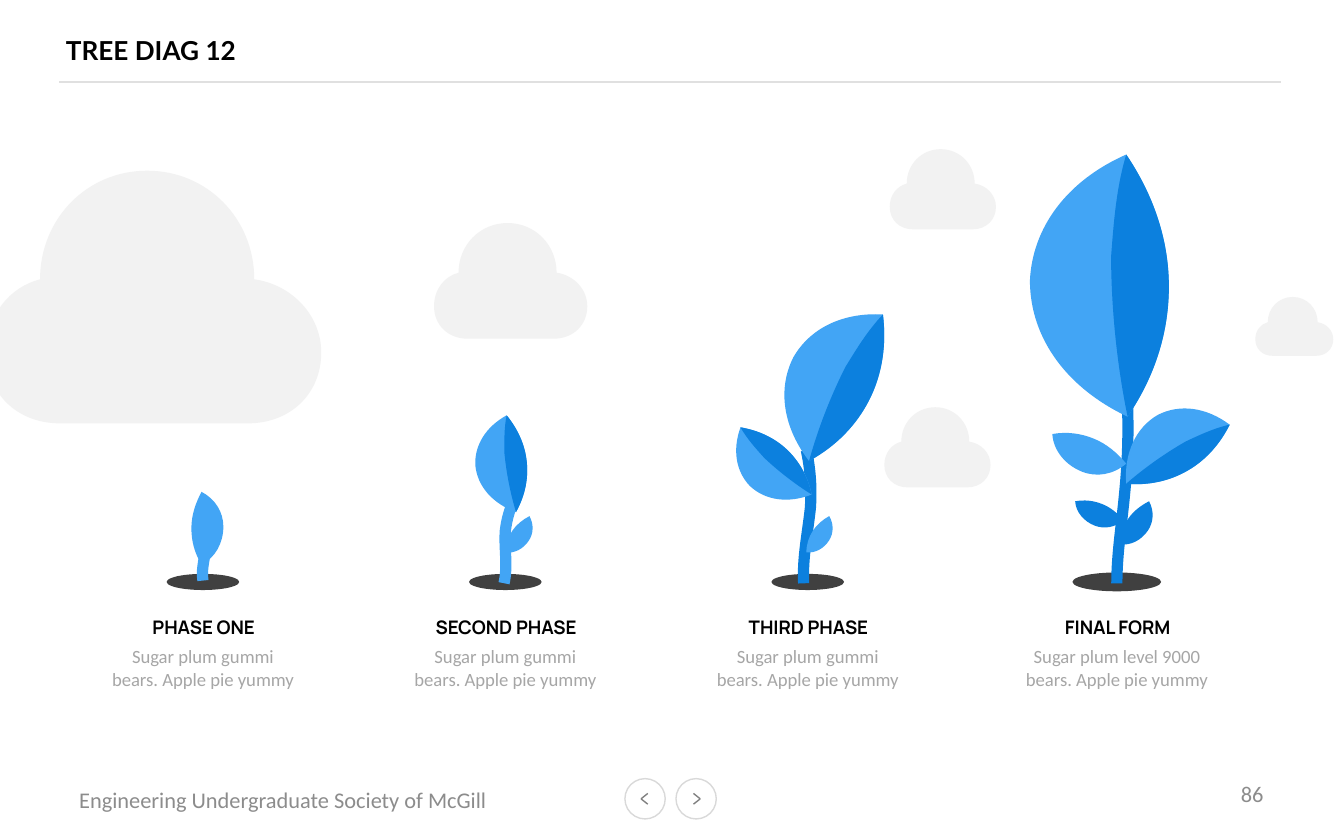
from lxml import etree
from pptx import Presentation
from pptx.dml.color import RGBColor
from pptx.enum.shapes import MSO_CONNECTOR, MSO_SHAPE
from pptx.enum.text import MSO_ANCHOR, PP_ALIGN
from pptx.oxml.ns import qn
from pptx.util import Inches, Pt

OVAL = MSO_SHAPE.OVAL
STRAIGHT = MSO_CONNECTOR.STRAIGHT
MIDDLE = MSO_ANCHOR.MIDDLE
LEFT, CENTER, RIGHT = PP_ALIGN.LEFT, PP_ALIGN.CENTER, PP_ALIGN.RIGHT

BLACK = RGBColor(0x00, 0x00, 0x00)
WHITE = RGBColor(0xFF, 0xFF, 0xFF)
SOIL = RGBColor(0x40, 0x40, 0x40)
CLOUD = RGBColor(0xF2, 0xF2, 0xF2)
LIGHT = RGBColor(0x42, 0xA5, 0xF5)
DARK = RGBColor(0x0C, 0x80, 0xDE)
RULE = RGBColor(0xE0, 0xE0, 0xE0)
RING = RGBColor(0xD9, 0xD9, 0xD9)
ARROW = RGBColor(0x80, 0x80, 0x80)
FOOTER = RGBColor(0x8C, 0x8C, 0x8C)
BODY = RGBColor(0xA6, 0xA6, 0xA6)

W, H = 10, 6.25
GROUND = 4.33
FIRST_COLUMN, COLUMN = 1.51, 2.25

CLOUD_EDGE = [(.16, .43), (.16, .19), (.3, 0), (.48, 0), (.66, 0), (.8, .19), (.8, .43),
              (.91, .45), (1, .57), (1, .72), (1, .88), (.91, 1), (.78, 1),
              (.78, 1), (.22, 1), (.22, 1), (.09, 1), (0, .88), (0, .72),
              (0, .57), (.07, .46), (.16, .43)]
CLOUDS = [(-.1, 1.27, 2.49), (3.23, 1.66, 1.14), (6.62, 1.11, .79),
          (6.58, 3.03, .79), (9.34, 2.21, .58)]

LEAF_LEFT = [(0, 0), (.11, -.23), (.3, -.37), (.52, -.37), (.72, -.36), (.9, -.23), (1, 0)]
LEAF_RIGHT = [(.85, .1), (.68, .16), (.5, .16), (.33, .16), (.16, .11), (0, 0)]
LEAF_RIB = [(0, 0), (.2, -.04), (.41, -.06), (.61, -.06), (.73, -.05), (.87, -.04), (1, 0)]
BUD = [(0, 0), (.16, -.1), (.33, -.14), (.5, -.14), (.68, -.14), (.85, -.08), (1, 0),
       (.9, .19), (.72, .3), (.52, .3), (.3, .3), (.09, .19), (0, 0)]

TWO_TONE = [(LEAF_LEFT + LEAF_RIGHT, LIGHT), (LEAF_RIB + LEAF_RIGHT, DARK)]
LIGHT_BUD = [(BUD, LIGHT)]
DARK_BUD = [(BUD, DARK)]

TEXT = "Sugar plum gummi bears. Apple pie yummy"
PHASES = [
    ("PHASE ONE", TEXT, 0, (.54, .12), LIGHT,
     [(.01, .18), (0, .12), (-.01, .06), (0, .01)],
     [((-.01, .13), (-.01, .67), LIGHT_BUD)]),
    ("SECOND PHASE", TEXT, 0, (.54, .12), LIGHT,
     [(.07, .62), (.03, .54), (.01, .46), (0, .38), (-.01, .25), (.02, .12), (-.01, -.01)],
     [((.08, .52), (.01, 1.24), TWO_TONE), ((0, .22), (.18, .49), LIGHT_BUD)]),
    ("THIRD PHASE", TEXT, 0, (.54, .12), DARK,
     [(-.01, .98), (.02, .84), (.03, .7), (.02, .55), (0, .36), (-.04, .18), (-.03, -.01)],
     [((.03, .65), (-.5, 1.15), TWO_TONE), ((-.01, .22), (.16, .49), LIGHT_BUD),
      ((.01, .9), (.56, 1.99), TWO_TONE)]),
    ("FINAL FORM", "Sugar plum level 9000 bears. Apple pie yummy", .05, (.66, .14), DARK,
     [(.06, 1.61), (.09, 1.3), (.09, .99), (.06, .68), (.04, .45), (0, .22), (0, -.01)],
     [((.02, .28), (.24, .6), DARK_BUD), ((.08, 1.23), (.07, 3.18), TWO_TONE),
      ((.07, .73), (.84, 1.17), TWO_TONE), ((-.31, .6), (.05, .46), DARK_BUD),
      ((-.48, 1.1), (.07, .88), LIGHT_BUD)]),
]


def bend(sp):
    """Turn each three line segments of a freeform into one cubic curve."""
    path = sp._element.find(".//" + qn("a:path"))
    lines = path.findall(qn("a:lnTo"))
    for i in range(0, len(lines), 3):
        cubic = etree.Element(qn("a:cubicBezTo"))
        path.insert(path.index(lines[i]), cubic)
        for line in lines[i:i + 3]:
            cubic.append(line[0])
            path.remove(line)


def add_outline(s, points, color, stroke=None):
    """Draw a smooth closed area, or an open stroke when a width is given."""
    dots = [(Inches(x), Inches(y)) for x, y in points]
    builder = s.shapes.build_freeform(*dots[0])
    builder.add_line_segments(dots[1:], close=stroke is None)
    sp = builder.convert_to_shape()
    bend(sp)
    sp.shadow.inherit = False
    if stroke:
        sp.fill.background()
        sp.line.color.rgb = color
        sp.line.width = Pt(stroke)
    else:
        sp.fill.solid()
        sp.fill.fore_color.rgb = color
        sp.line.fill.background()


def add_oval(s, x, y, w, h, color, border=None):
    """Draw an ellipse centred on a point."""
    sp = s.shapes.add_shape(OVAL, Inches(x - w / 2), Inches(y - h / 2), Inches(w), Inches(h))
    sp.shadow.inherit = False
    sp.fill.solid()
    sp.fill.fore_color.rgb = color
    if border:
        sp.line.color.rgb = border
        sp.line.width = Pt(.75)
    else:
        sp.line.fill.background()


def add_line(s, x1, y1, x2, y2, color):
    """Draw a thin straight line without a shadow."""
    line = s.shapes.add_connector(STRAIGHT, Inches(x1), Inches(y1), Inches(x2), Inches(y2))
    line.line.color.rgb = color
    line.line.width = Pt(.75)
    etree.SubElement(line._element.spPr, qn("a:effectLst"))


def set_text(sp, box, text, font, size, color, align, bold=False):
    """Place a text shape in its box and format its only paragraph."""
    sp.left, sp.top, sp.width, sp.height = (Inches(v) for v in box)
    tf = sp.text_frame
    tf.word_wrap = True
    tf.text = text
    p = tf.paragraphs[0]
    p.alignment = align
    p.font.name, p.font.size, p.font.bold = font, Pt(size), bold
    p.font.color.rgb = color
    return tf


def add_text(s, box, *style):
    """Add a text box with one formatted paragraph."""
    sp = s.shapes.add_textbox(0, 0, 0, 0)
    return set_text(sp, box, *style)


def add_header(s):
    """Place the title and the rule below it."""
    add_line(s, W * .044, .61, W * .953, .61, RULE)
    tf = set_text(s.shapes.title, (.49, .16, 6.67, .43), "TREE DIAG 12",
                  "Lato", 14, BLACK, LEFT, True)
    tf.margin_left = tf.margin_right = tf.margin_top = tf.margin_bottom = 0
    tf.vertical_anchor = MIDDLE


def add_footer(s):
    """Place the society name, the two page buttons and the page number."""
    for box, text, align in [
            ((.49, 5.8, 3.39, .3), "Engineering Undergraduate Society of McGill", LEFT),
            ((7.17, 5.74, 2.33, .33), "86", RIGHT)]:
        add_text(s, box, text, "Calibri", 12, FOOTER, align).vertical_anchor = MIDDLE
    y = H * .951
    for x, side in ((4.8, -1), (5.18, 1)):
        add_oval(s, x, y, .3, .3, WHITE, RING)
        for rise in (-.04, .04):
            add_line(s, x + side * .03, y, x - side * .02, y + rise, ARROW)


def add_cloud(s, left, top, width):
    """Draw a cloud from its top left corner and width."""
    height = width * .755
    add_outline(s, [(left + u * width, top + v * height) for u, v in CLOUD_EDGE], CLOUD)


def add_leaf(s, base, tip, parts):
    """Draw the parts of a leaf along the axis from base to tip."""
    (x, y), (dx, dy) = base, (tip[0] - base[0], tip[1] - base[1])
    for points, color in parts:
        add_outline(s, [(x + u * dx - v * dy, y + u * dy + v * dx) for u, v in points], color)


def add_phase(s, x, heading, body, soil, stem_color, stem, leaves):
    """Draw one plant on its root point, with its caption below."""
    def place(point):
        return x + point[0], GROUND - point[1]

    add_oval(s, x, GROUND, *soil, SOIL)
    add_outline(s, [place(point) for point in stem], stem_color, 6)
    for base, tip, parts in leaves:
        add_leaf(s, place(base), place(tip), parts)
    add_text(s, (x - .65, GROUND + .2, 1.31, .28), heading, "Manrope", 10, BLACK, CENTER, True)
    add_text(s, (x - .8, GROUND + .42, 1.6, .44), body, "Calibri", 10, BODY, CENTER)


def main():
    """Build and save the slide."""
    prs = Presentation()
    prs.slide_width, prs.slide_height = Inches(W), Inches(H)
    s = prs.slides.add_slide(prs.slide_layouts[5])
    add_header(s)
    add_footer(s)
    for cloud in CLOUDS:
        add_cloud(s, *cloud)
    for i, (heading, body, shift, *plant) in enumerate(PHASES):
        add_phase(s, FIRST_COLUMN + i * COLUMN + shift, heading, body, *plant)
    prs.save("out.pptx")


if __name__ == "__main__":
    main()
